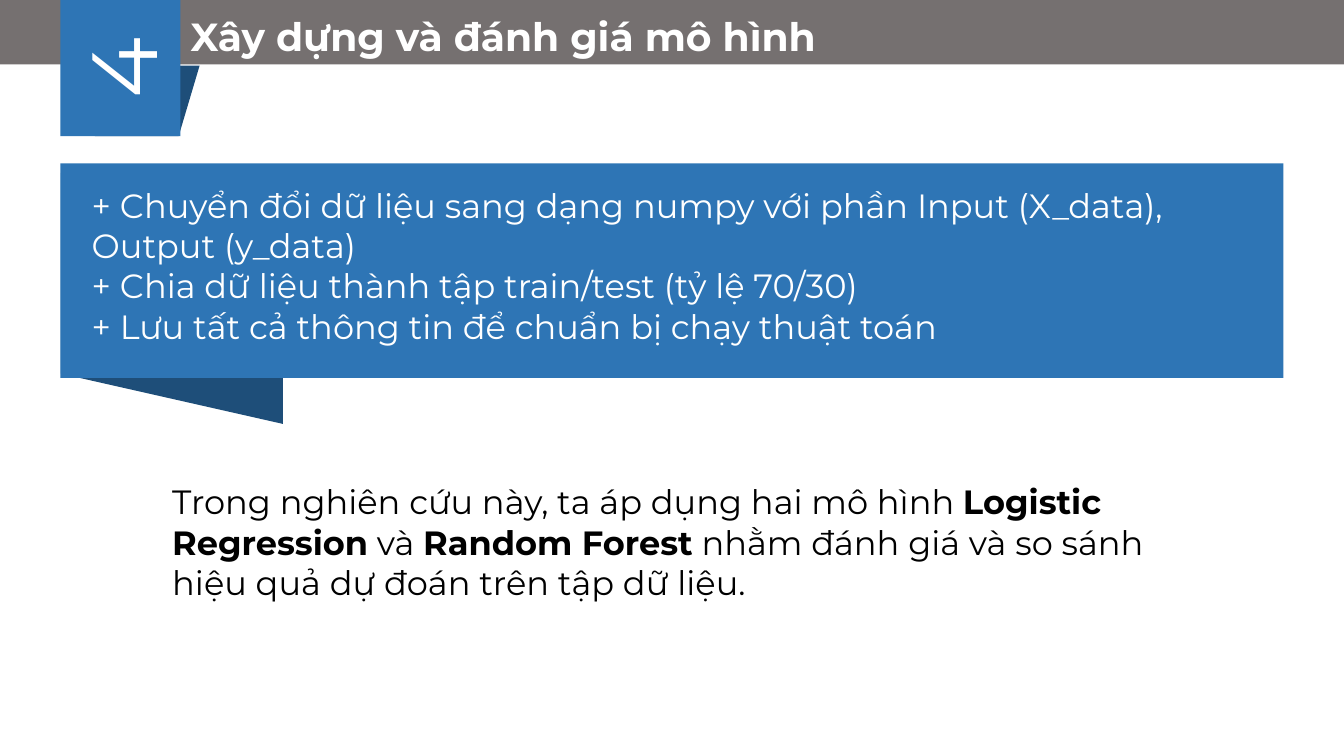
from lxml.etree import SubElement
from pptx import Presentation
from pptx.dml.color import RGBColor
from pptx.enum.shapes import MSO_SHAPE as Kind
from pptx.enum.text import MSO_ANCHOR as Anchor, MSO_AUTO_SIZE as Fit, PP_ALIGN as Align
from pptx.oxml.ns import qn
from pptx.util import Inches, Pt

FACE = "Montserrat"
HUES = {"grey": "757070", "blue": "2E75B5", "navy": "1E4E79",
        "white": "FFFFFF", "black": "000000"}
TITLE = "Xây dựng và đánh giá mô hình"
STEPS = [
    "+ Chuyển đổi dữ liệu sang dạng numpy với phần Input (X_data), Output (y_data)",
    "+ Chia dữ liệu thành tập train/test (tỷ lệ 70/30)",
    "+ Lưu tất cả thông tin để chuẩn bị chạy thuật toán",
]
# Each line is a list of runs: (text, bold)
MODELS = [
    [("Trong nghiên cứu này, ta áp dụng hai mô hình ", False), ("Logistic", True)],
    [("Regression", True), (" và ", False), ("Random Forest", True),
     (" nhằm đánh giá và so sánh", False)],
    [("hiệu quả dự đoán trên tập dữ liệu.", False)],
]


def hue(name):
    return RGBColor.from_string(HUES[name])


def apply(item, form):
    for key, value in form.items():
        setattr(item, key, value)


def place(shape, box):
    sides = ("left", "top", "width", "height")
    apply(shape, dict(zip(sides, map(Inches, box))))


def block(shapes, kind, box, fill, turn=0):
    shape = shapes.add_shape(kind, *map(Inches, box))
    shape.rotation = turn
    shape.shadow.inherit = False
    shape.fill.solid()
    shape.fill.fore_color.rgb = hue(fill)
    shape.line.fill.background()
    return shape


def write(shape, lines, size, color, align=Align.LEFT, anchor=Anchor.TOP, wrap=True):
    """Fill a shape with paragraphs, each a list of (text, bold) runs."""
    frame = shape.text_frame
    apply(frame, {"word_wrap": wrap, "vertical_anchor": anchor, "auto_size": Fit.NONE})
    for i, line in enumerate(lines):
        para = frame.paragraphs[0] if i == 0 else frame.add_paragraph()
        apply(para, {"alignment": align, "space_before": Pt(0), "line_spacing": 1.0})
        for text, bold in line:
            run = para.add_run()
            run.text = text
            apply(run.font, {"name": FACE, "size": Pt(size), "bold": bold})
            run.font.color.rgb = hue(color)


def unmark(shape):
    """Remove the bullets and hanging indent of a list placeholder."""
    for para in shape.text_frame.paragraphs:
        props = para._p.get_or_add_pPr()
        props.set("marL", "0")
        props.set("indent", "0")
        SubElement(props, qn("a:buNone"))


def raise_up(shape):
    """Move a shape to the front."""
    tree = shape._element.getparent()
    tree.append(shape._element)


def badge(slide):
    group = slide.shapes.add_group_shape().shapes
    block(group, Kind.FLOWCHART_DATA, (0.94, 0.65, 1.04, 0.7), "navy", 180)
    tile = block(group, Kind.RECTANGLE, (0.52, 0.08, 1.35, 1.19), "blue", 270)
    write(tile, [[("4", False)]], 66, "white", Align.CENTER, Anchor.MIDDLE)


def main():
    deck = Presentation()
    deck.slide_width, deck.slide_height = Inches(13.33), Inches(7.5)
    slide = deck.slides.add_slide(deck.slide_layouts[1])
    shapes = slide.shapes
    title, steps = slide.placeholders

    block(shapes, Kind.RECTANGLE, (0, -0.01, 13.33, 0.65), "grey")
    badge(slide)
    block(shapes, Kind.FLOWCHART_DATA, (0.46, 1.86, 2.49, 2.2), "navy", 270)
    block(shapes, Kind.RECTANGLE, (0.6, 1.62, 12.13, 2.13), "blue")

    place(title, (1.79, 0.07, 6.44, 0.57))
    write(title, [[(TITLE, True)]], 28, "white")
    raise_up(title)

    place(steps, (0.81, 1.78, 11.72, 1.72))
    write(steps, [[(step, False)] for step in STEPS], 24, "white")
    unmark(steps)
    raise_up(steps)

    note = shapes.add_textbox(*map(Inches, (1.61, 4.72, 10.11, 1.31)))
    write(note, MODELS, 24, "black", Align.JUSTIFY, Anchor.MIDDLE, False)

    deck.save("out.pptx")


if __name__ == "__main__":
    main()
